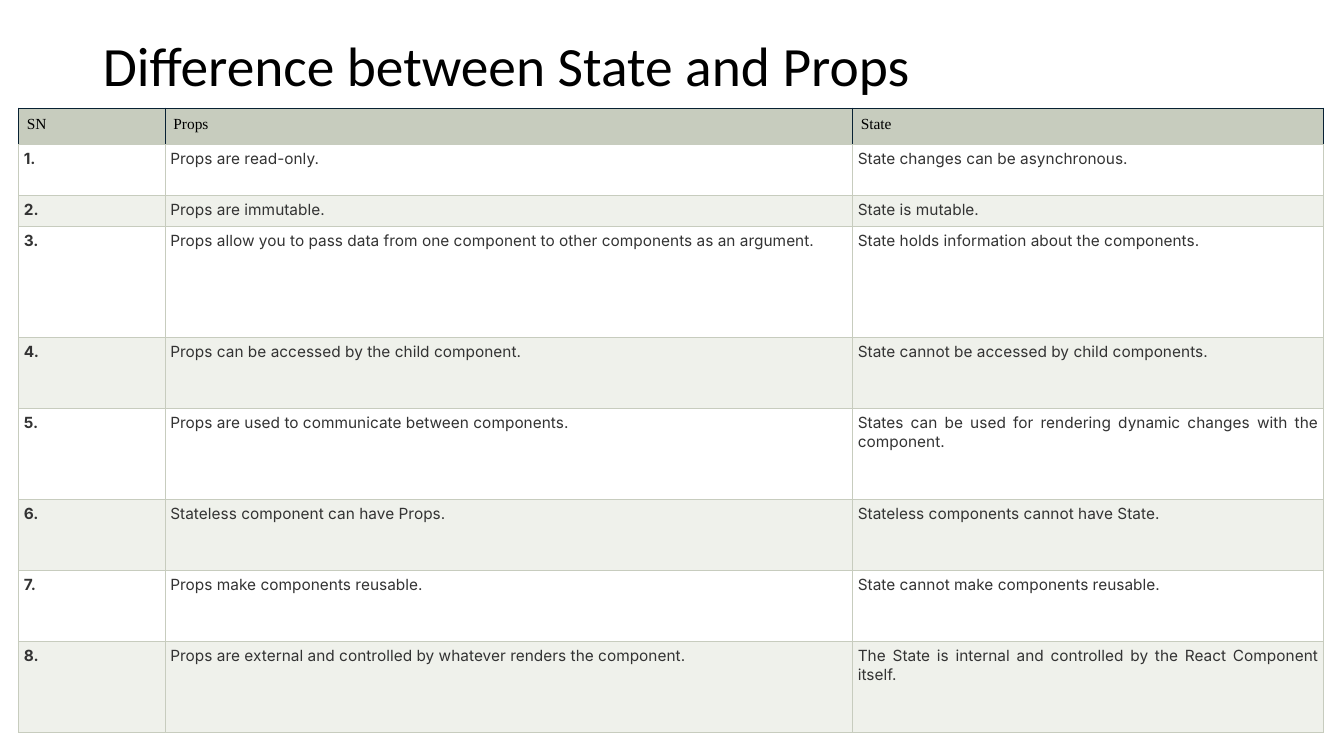
from dataclasses import dataclass

from lxml import etree
from pptx import Presentation, util as u
from pptx.dml.color import RGBColor
from pptx.enum import text
from pptx.oxml.ns import qn


@dataclass(frozen=True)
class Theme:
    title_font: str = "Calibri"
    head_font: str = "Times New Roman"
    body_font: str = "Inter"
    title_size: float = 39.6
    body_size: float = 11
    black: str = "000000"
    ink: str = "333333"
    navy: str = "082133"
    sage: str = "C7CCBE"
    bands: tuple = ("FFFFFF", "EFF1EB")
    border: float = 0.75
    head_inset: float = 0.08
    body_inset: float = 0.05


class Deck:
    def __init__(self, theme):
        self.theme = theme
        self.prs = Presentation()
        self.prs.slide_width = u.Inches(13.33)
        self.prs.slide_height = u.Inches(7.5)
        self.slide = self.prs.slides.add_slide(self.prs.slide_layouts[5])

    def x(self, percent):
        return int(self.prs.slide_width * percent / 100)

    def y(self, percent):
        return int(self.prs.slide_height * percent / 100)

    def style(self, p, font, size, color, align, bold=False):
        p.alignment = align
        p.font.name = font
        p.font.size = u.Pt(size)
        p.font.bold = bold
        p.font.color.rgb = RGBColor.from_string(color)

    def title(self, wording, left, top, width, height):
        sp = self.slide.shapes.title
        sp.left, sp.top = self.x(left), self.y(top)
        sp.width, sp.height = self.x(width), self.y(height)
        tf = sp.text_frame
        tf.text = wording
        tf.word_wrap = True
        tf.auto_size = text.MSO_AUTO_SIZE.NONE
        tf.vertical_anchor = text.MSO_ANCHOR.MIDDLE
        p = tf.paragraphs[0]
        p.line_spacing = 0.9
        t = self.theme
        self.style(p, t.title_font, t.title_size, t.black, text.PP_ALIGN.LEFT)

    def borders(self, cell, colors):
        tc_pr = cell._tc.get_or_add_tcPr()
        for side, color in zip("LRTB", colors):
            ln = etree.SubElement(tc_pr, qn(f"a:ln{side}"), w=str(u.Pt(self.theme.border)))
            fill = etree.SubElement(ln, qn("a:solidFill"))
            etree.SubElement(fill, qn("a:srgbClr"), val=color)

    def cell(self, cell, wording, row, col):
        t = self.theme
        head = row == 0
        inset = u.Inches(t.head_inset if head else t.body_inset)
        cell.margin_left = cell.margin_right = inset
        cell.margin_top = cell.margin_bottom = inset
        edge = t.navy if head else t.sage
        self.borders(cell, (edge, edge, edge, t.sage))
        cell.fill.solid()
        cell.fill.fore_color.rgb = RGBColor.from_string(t.sage if head else t.bands[(row - 1) % 2])
        cell.text = wording
        p = cell.text_frame.paragraphs[0]
        if head:
            self.style(p, t.head_font, t.body_size, t.black, text.PP_ALIGN.LEFT)
        else:
            self.style(p, t.body_font, t.body_size, t.ink, text.PP_ALIGN.JUSTIFY, col == 0)

    def table(self, rows, left, top, widths, heights):
        table = self.slide.shapes.add_table(
            len(rows), len(widths), self.x(left), self.y(top),
            self.x(sum(widths)), self.y(sum(heights))).table
        for column, width in zip(table.columns, widths):
            column.width = self.x(width)
        for i, (row, height) in enumerate(zip(rows, heights)):
            table.rows[i].height = self.y(height)
            for j, wording in enumerate(row):
                self.cell(table.cell(i, j), wording, i, j)


HEADINGS = ("SN", "Props", "State")
DIFFERENCES = (
    ("Props are read-only.", "State changes can be asynchronous."),
    ("Props are immutable.", "State is mutable."),
    ("Props allow you to pass data from one component to other components as an argument.",
     "State holds information about the components."),
    ("Props can be accessed by the child component.",
     "State cannot be accessed by child components."),
    ("Props are used to communicate between components.",
     "States can be used for rendering dynamic changes with the component."),
    ("Stateless component can have Props.", "Stateless components cannot have State."),
    ("Props make components reusable.", "State cannot make components reusable."),
    ("Props are external and controlled by whatever renders the component.",
     "The State is internal and controlled by the React Component itself."),
)


def main():
    deck = Deck(Theme())
    deck.title("Difference between State and Props", 6.9, 0, 70, 18.13)
    numbered = [(f"{n}.", *pair) for n, pair in enumerate(DIFFERENCES, 1)]
    deck.table([HEADINGS, *numbered], 1.4, 14.3,
               widths=(10.9, 51.15, 35.05),
               heights=(4.8, 6.8, 4.1, 14.7, 9.4, 12, 9.4, 9.4, 12))
    deck.prs.save("out.pptx")


if __name__ == "__main__":
    main()
